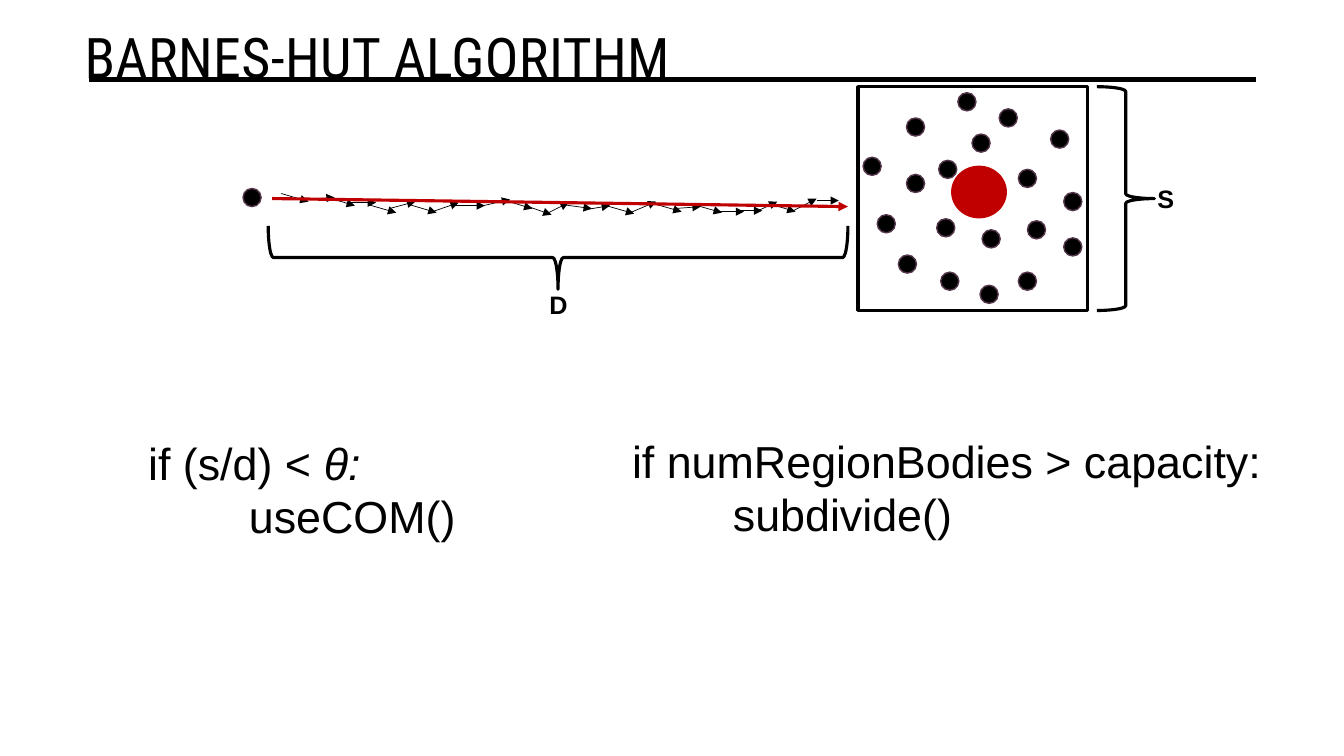
from lxml.etree import SubElement as Sub
from pptx import Presentation as Deck
from pptx.dml.color import RGBColor as Rgb
from pptx.enum.shapes import MSO_CONNECTOR as Link, MSO_SHAPE as Kind
from pptx.enum.text import MSO_ANCHOR as Anchor, MSO_AUTO_SIZE as Fit
from pptx.oxml.ns import qn
from pptx.util import Inches, Pt

HUES = {"ink": "000000", "red": "C00000", "rim": "55374C"}
DOT = 0.18
BODIES = [
    (2.41, 1.87), (9.64, 1.33), (9.91, 1.08), (10.1, 1.68), (9.64, 1.82),
    (10.42, 1.29), (8.99, 1.73), (9.29, 2.17), (10.55, 1.91), (10.19, 2.19),
    (9.74, 2.28), (10.1, 2.7), (10.55, 2.36), (9.33, 2.7), (8.91, 2.53),
    (8.7, 2.13), (8.99, 1.17), (9.31, 1.59), (9.5, 0.92), (8.56, 1.56),
    (9.72, 2.83),
]
TRAIL = [
    (2.79, 1.92, 3.06, 2), (3, 1.98, 3.32, 1.96), (3.25, 1.96, 3.52, 2.04),
    (3.45, 2.01, 3.73, 2.01), (3.65, 2.03, 3.93, 2.11), (3.86, 2.07, 4.12, 2),
    (4.06, 2.03, 4.33, 2.11), (4.26, 2.11, 4.55, 2.01), (4.5, 2.04, 4.81, 2.04),
    (4.75, 2.05, 5.06, 1.98), (5.01, 1.99, 5.28, 2.07), (5.24, 2.05, 5.47, 2.13),
    (5.4, 2.13, 5.64, 2.01), (5.58, 2.03, 5.87, 2.07), (5.81, 2.08, 6.05, 2.04),
    (6.01, 2.04, 6.29, 2.12), (6.25, 2.11, 6.51, 2), (6.48, 2.02, 6.76, 2.1),
    (6.68, 2.07, 6.95, 2.05), (6.88, 2.03, 7.16, 2.11), (7.1, 2.1, 7.38, 2.1),
    (7.34, 2.09, 7.56, 2.09), (7.52, 2.09, 7.71, 2), (7.66, 2.03, 7.89, 2.1),
    (7.87, 2.09, 8.1, 1.97), (8.1, 1.99, 8.32, 1.99),
]


def write(para, text, size=32, font="Arial", hue="ink", bold=False,
          slant=False, space=0):
    run = para.add_run()
    run.text = text
    face = run.font
    face.size, face.name, face.bold, face.italic = Pt(size), font, bold, slant
    face.color.rgb = Rgb.from_string(HUES[hue])
    if space:
        face._element.set("spc", str(round(space * 100)))


class Board:
    def __init__(self, slide):
        self.shapes = slide.shapes

    def stroke(self, line, hue, width):
        line.color.rgb = Rgb.from_string(HUES[hue])
        line.width = Pt(width)

    def shape(self, kind, box, fill=None, line="ink", width=2.25, turn=0):
        item = self.shapes.add_shape(kind, *map(Inches, box))
        item.shadow.inherit = False
        item.rotation = turn
        if fill:
            item.fill.solid()
            item.fill.fore_color.rgb = Rgb.from_string(HUES[fill])
        else:
            item.fill.background()
        self.stroke(item.line, line, width)

    def line(self, ends, hue="ink", width=0.5, arrow=True):
        item = self.shapes.add_connector(Link.STRAIGHT, *map(Inches, ends))
        self.stroke(item.line, hue, width)
        if arrow:
            Sub(item.line._get_or_add_ln(), qn("a:tailEnd"), type="triangle")
        Sub(item._element.spPr, qn("a:effectLst"))

    def text(self, box, rows, wrap=True, anchor=Anchor.TOP, grow=True, **style):
        frame = self.shapes.add_textbox(*map(Inches, box)).text_frame
        frame.word_wrap = wrap
        frame.vertical_anchor = anchor
        frame.auto_size = Fit.SHAPE_TO_FIT_TEXT if grow else Fit.NONE
        for i, (inset, parts) in enumerate(rows):
            para = frame.add_paragraph() if i else frame.paragraphs[0]
            if inset:
                para._p.get_or_add_pPr().set("marL", str(Inches(inset)))
            for part, extra in parts:
                write(para, part, **style, **extra)


def main():
    deck = Deck()
    deck.slide_width, deck.slide_height = Inches(13.33), Inches(7.5)
    board = Board(deck.slides.add_slide(deck.slide_layouts[6]))

    board.line((0.88, 0.79, 12.46, 0.79), width=3.5, arrow=False)
    board.text((0.74, 0.14, 7.17, 0.84), [(0, [("BARNES-HUT ALGORITHM", {})])],
               anchor=Anchor.MIDDLE, grow=False, size=40,
               font="Roboto Condensed", space=0.3)

    for x, y in BODIES:
        board.shape(Kind.OVAL, (x, y, DOT, DOT), "ink", "rim", 1)
    board.shape(Kind.OVAL, (9.44, 1.65, 0.54, 0.51), "red", "red", 1)

    for ends in TRAIL:
        board.line(ends)
    board.line((2.7, 1.97, 8.41, 2.05), "red", 2.25)

    board.shape(Kind.LEFT_BRACE, (5.22, -0.32, 0.63, 5.75), turn=270)
    board.shape(Kind.LEFT_BRACE, (10.88, 0.86, 0.57, 2.22), turn=180)
    for name, box in (("D", (5.35, 2.82, 0.41, 0.4)),
                      ("S", (11.38, 1.77, 0.34, 0.4))):
        board.text(box, [(0, [(name, {})])], wrap=False, size=18, bold=True)
    board.shape(Kind.RECTANGLE, (8.51, 0.86, 2.28, 2.22))

    board.text((1.37, 4.27, 3.68, 1.18), [
        (0, [("if (s/d) < ", {}), ("θ:", {"slant": True})]),
        (1, [("useCOM()", {})])])
    board.text((6.17, 4.25, 6.65, 1.18), [
        (0, [("if numRegionBodies > capacity:", {})]),
        (1, [("subdivide()", {})])])
    deck.save("out.pptx")


if __name__ == "__main__":
    main()
